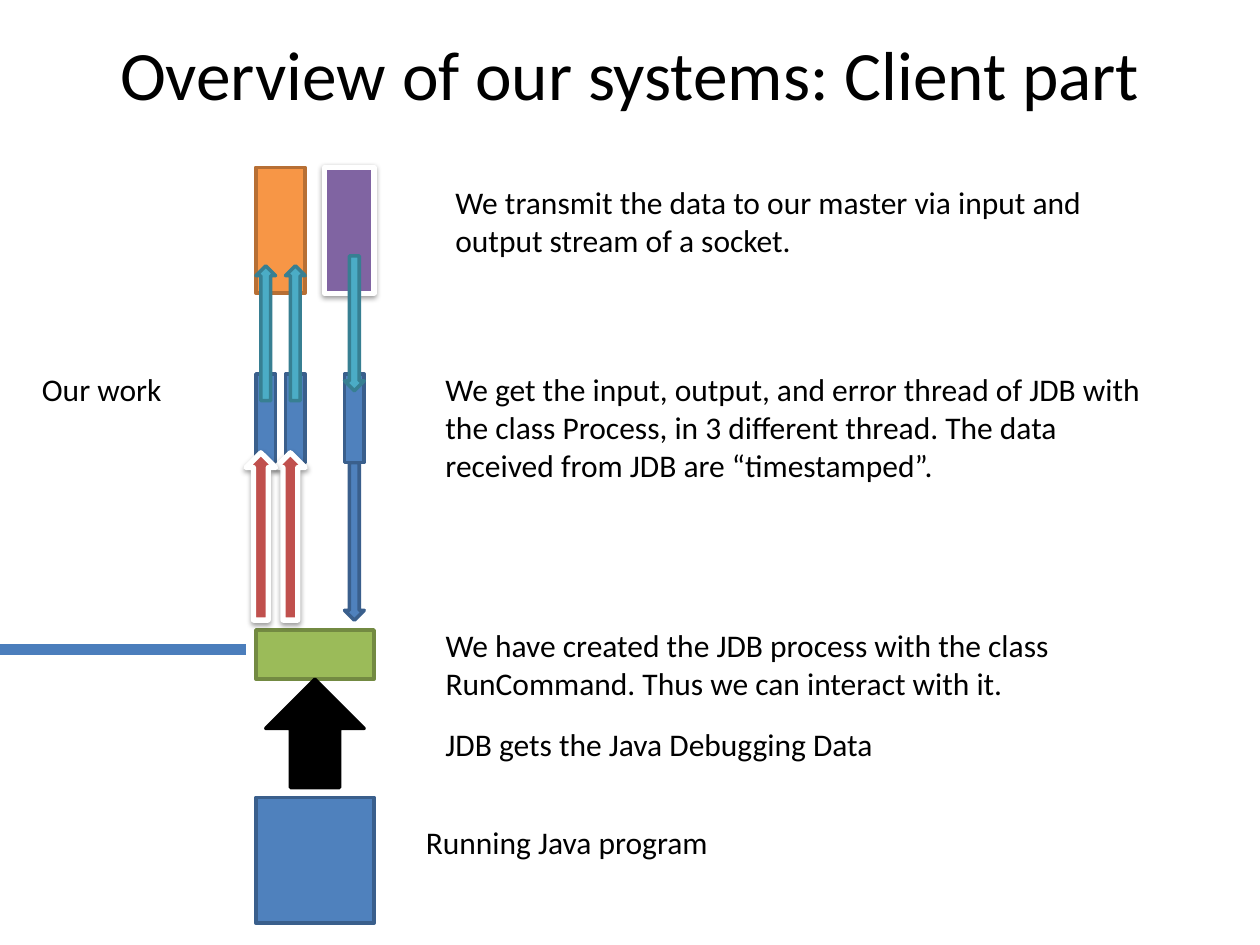
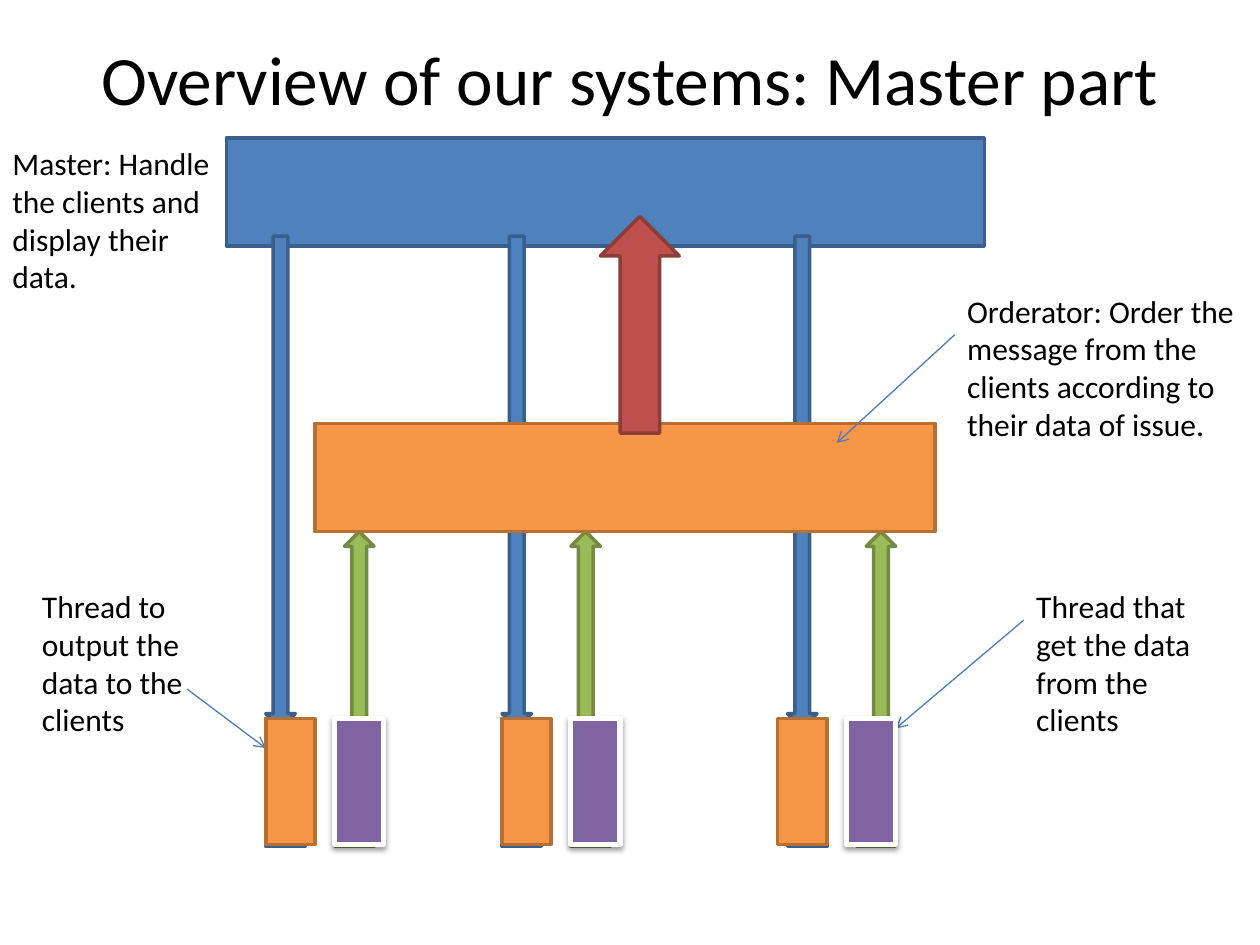
from dataclasses import dataclass
from typing import Optional

from lxml import etree
from pptx import Presentation
from pptx.dml.color import RGBColor
from pptx.enum.shapes import MSO_CONNECTOR, MSO_SHAPE as Geo
from pptx.enum.text import MSO_ANCHOR, MSO_AUTO_SIZE, PP_ALIGN
from pptx.oxml.ns import qn
from pptx.util import Inches, Pt

# Slide size and the grid that every length is given in
WIDTH, HEIGHT = Inches(10), Inches(7.5)
COLUMNS, ROWS = 128, 96
BOX_ROWS = 12.8      # height of a program or stream box
LINE_ROWS = 3.84     # height of a line of caption text
INSET_ROWS = 1.28    # upper and lower inset of a caption

# Shared colours
BLACK = RGBColor(0x00, 0x00, 0x00)
WHITE = RGBColor(0xFF, 0xFF, 0xFF)
BLUE = RGBColor(0x4F, 0x81, 0xBD)
BLUE_EDGE = RGBColor(0x3A, 0x5F, 0x8C)
GREEN = RGBColor(0x9B, 0xBB, 0x59)
GREEN_EDGE = RGBColor(0x73, 0x8A, 0x42)
ORANGE = RGBColor(0xF7, 0x96, 0x46)
ORANGE_EDGE = RGBColor(0xB7, 0x6F, 0x34)
PURPLE = RGBColor(0x80, 0x64, 0xA2)
TEAL = RGBColor(0x4B, 0xAC, 0xC6)
TEAL_EDGE = RGBColor(0x37, 0x7F, 0x92)
RED = RGBColor(0xC0, 0x50, 0x4D)
RED_EDGE = RGBColor(0x8E, 0x3B, 0x39)
CONNECTOR = RGBColor(0x4B, 0x7E, 0xBC)

FONT = "Calibri"
TITLE_FRAME = {"vertical_anchor": MSO_ANCHOR.MIDDLE, "word_wrap": True,
               "auto_size": MSO_AUTO_SIZE.NONE}
TITLE_FONT = {"name": FONT, "size": Pt(39.6)}
CAPTION_FRAME = {"word_wrap": True, "auto_size": MSO_AUTO_SIZE.SHAPE_TO_FIT_TEXT}
CAPTION_FONT = {"name": FONT, "size": Pt(18)}


@dataclass(frozen=True)
class Style:
    fill: RGBColor
    edge: RGBColor
    edge_width: float = 2
    raised: bool = False


BLUE_STYLE = Style(BLUE, BLUE_EDGE)
GREEN_STYLE = Style(GREEN, GREEN_EDGE)
ORANGE_STYLE = Style(ORANGE, ORANGE_EDGE)
TEAL_STYLE = Style(TEAL, TEAL_EDGE)
RED_STYLE = Style(RED, RED_EDGE)
BLACK_STYLE = Style(BLACK, BLACK)
RAISED_PURPLE = Style(PURPLE, WHITE, 3, True)
RAISED_RED = Style(RED, WHITE, 3, True)


@dataclass(frozen=True)
class Block:
    col: float
    row: float
    cols: float
    rows: float
    style: Style
    geometry: Geo = Geo.RECTANGLE
    rotation: float = 0


@dataclass(frozen=True)
class Caption:
    col: float
    row: float
    cols: float
    lines: int
    text: str


@dataclass(frozen=True)
class Link:
    start: tuple[float, float]
    end: tuple[float, float]
    width: float = 0.75
    head: Optional[str] = "arrow"


def x(cols: float) -> int:
    return round(WIDTH * cols / COLUMNS)


def y(rows: float) -> int:
    return round(HEIGHT * rows / ROWS)


def apply(target, values: dict) -> None:
    for attribute, value in values.items():
        setattr(target, attribute, value)


def add_titled_slide(deck, text: str, title_height: float):
    slide = deck.slides.add_slide(deck.slide_layouts[5])
    title = slide.shapes.title
    apply(title, {"left": x(6.4), "top": y(3.84),
                  "width": x(115.2), "height": y(title_height)})
    apply(title.text_frame, TITLE_FRAME)
    title.text_frame.text = text
    paragraph = title.text_frame.paragraphs[0]
    paragraph.alignment = PP_ALIGN.CENTER
    apply(paragraph.runs[0].font, TITLE_FONT)
    paragraph.runs[0].font.color.rgb = BLACK
    return slide


def add_soft_shadow(shape) -> None:
    effects = shape._element.spPr.find(qn("a:effectLst"))
    shadow = etree.SubElement(effects, qn("a:outerShdw"), blurRad=str(Pt(3.1)),
                              dist=str(Pt(1.6)), dir="5400000", rotWithShape="0")
    color = etree.SubElement(shadow, qn("a:srgbClr"), val=str(BLACK))
    etree.SubElement(color, qn("a:alpha"), val="38000")


def draw_block(slide, block: Block) -> None:
    shape = slide.shapes.add_shape(block.geometry, x(block.col), y(block.row),
                                   x(block.cols), y(block.rows))
    shape.rotation = block.rotation
    shape.shadow.inherit = False
    shape.fill.solid()
    shape.fill.fore_color.rgb = block.style.fill
    shape.line.color.rgb = block.style.edge
    shape.line.width = Pt(block.style.edge_width)
    if block.style.raised:
        add_soft_shadow(shape)


def draw_caption(slide, caption: Caption) -> None:
    height = caption.lines * LINE_ROWS + INSET_ROWS
    box = slide.shapes.add_textbox(x(caption.col), y(caption.row),
                                   x(caption.cols), y(height))
    apply(box.text_frame, CAPTION_FRAME)
    run = box.text_frame.paragraphs[0].add_run()
    run.text = caption.text
    apply(run.font, CAPTION_FONT)
    run.font.color.rgb = BLACK


def draw_link(slide, link: Link) -> None:
    (x1, y1), (x2, y2) = link.start, link.end
    line = slide.shapes.add_connector(MSO_CONNECTOR.STRAIGHT, x(x1), y(y1), x(x2), y(y2))
    line.line.color.rgb = CONNECTOR
    line.line.width = Pt(link.width)
    if link.head:
        etree.SubElement(line.line._get_or_add_ln(), qn("a:tailEnd"), type=link.head)
    etree.SubElement(line._element.spPr, qn("a:effectLst"))


DRAWERS = {Block: draw_block, Caption: draw_caption, Link: draw_link}


def draw_all(slide, parts: list) -> None:
    for part in parts:
        DRAWERS[type(part)](slide, part)


deck = Presentation()
deck.slide_width, deck.slide_height = WIDTH, HEIGHT

# Client part: program, debugger, threads and socket streams, bottom to top
OUTPUT_COL, ERROR_COL, INPUT_COL = 26, 29, 35
client = add_titled_slide(deck, "Overview of our systems: Client part", 7.2)
draw_all(client, [
    Block(26, 81, 12, BOX_ROWS, BLUE_STYLE),
    Block(26, 64, 12, 5, GREEN_STYLE),
    Block(26, 17, 5, BOX_ROWS, ORANGE_STYLE),
    Block(33, 17, 5, BOX_ROWS, RAISED_PURPLE),
    Block(INPUT_COL, 47, 2, 16, BLUE_STYLE, Geo.DOWN_ARROW),
    Block(26.5, 69.5, 11, 10, BLACK_STYLE, Geo.RIGHT_ARROW, 270),
    *(Block(col, 38, 2, 9, BLUE_STYLE) for col in (OUTPUT_COL, ERROR_COL, INPUT_COL)),
    *(Block(col, 27, 2, 13.7, TEAL_STYLE, Geo.UP_ARROW)
      for col in (OUTPUT_COL, ERROR_COL)),
    *(Block(col - 1, 46, 3, 17, RAISED_RED, Geo.UP_ARROW)
      for col in (ERROR_COL, OUTPUT_COL)),
    Block(INPUT_COL, 26, 2, 13.7, TEAL_STYLE, Geo.DOWN_ARROW),
    # Explanations beside each stage
    Caption(42, 83, 40, 1, "Running Java program"),
    Caption(44, 73, 55, 1, "JDB gets the Java Debugging Data"),
    Caption(44, 63, 75, 2, "We have created the JDB process with the class "
                           "RunCommand. Thus we can interact with it."),
    Caption(44, 37, 74, 3, "We get the input, output, and error thread of JDB with "
                           "the class Process, in 3 different thread. The data "
                           "received from JDB are “timestamped”."),
    Caption(45, 18, 75, 2, "We transmit the data to our master via input and "
                           "output stream of a socket."),
    # Border of our own work
    Link((0, 66), (25, 66), 6, None),
    Caption(3, 37, 16, 1, "Our work"),
])

# Master part: three clients below the orderator and the master
CLIENT_COLS = (27, 51, 80)
THREAD_COLS = (27, 51, 79)
THREAD_ROW, PAIR_GAP = 73, 7
master = add_titled_slide(deck, "Overview of our systems: Master part", 8.2)
draw_all(master, [
    *(Block(col + shift, THREAD_ROW, 4, 13, style) for col in CLIENT_COLS
      for shift, style in ((0, BLUE_STYLE), (PAIR_GAP, GREEN_STYLE))),
    Block(23, 14, 77, 11, BLUE_STYLE),
    *(Block(col, 24, 3, 50, BLUE_STYLE, Geo.DOWN_ARROW) for col in CLIENT_COLS),
    *(Block(col, 54, 3, rows, GREEN_STYLE, Geo.UP_ARROW)
      for col, rows in ((35, 19), (58, 19), (88, 20))),
    Block(32, 43, 63, 11, ORANGE_STYLE),
    Block(61, 22, 8, 22, RED_STYLE, Geo.UP_ARROW),
    # Explanations and their pointers
    Caption(0, 14, 24, 4, "Master: Handle the clients and display their data."),
    Caption(3, 59, 20, 4, "Thread to output the data to the clients"),
    Link((19, 70), (27, 76)),
    Caption(104, 59, 20, 4, "Thread that get the data from the clients"),
    Link((104, 63), (91, 74)),
    Caption(97, 29, 31, 4, "Orderator: Order the message from the clients "
                           "according to their data of issue."),
    Link((97, 34), (85, 45)),
    # Output and input thread of each client
    *(Block(col + shift, THREAD_ROW, 5, BOX_ROWS, style) for col in THREAD_COLS
      for shift, style in ((0, ORANGE_STYLE), (PAIR_GAP, RAISED_PURPLE))),
])

deck.save("out.pptx")
